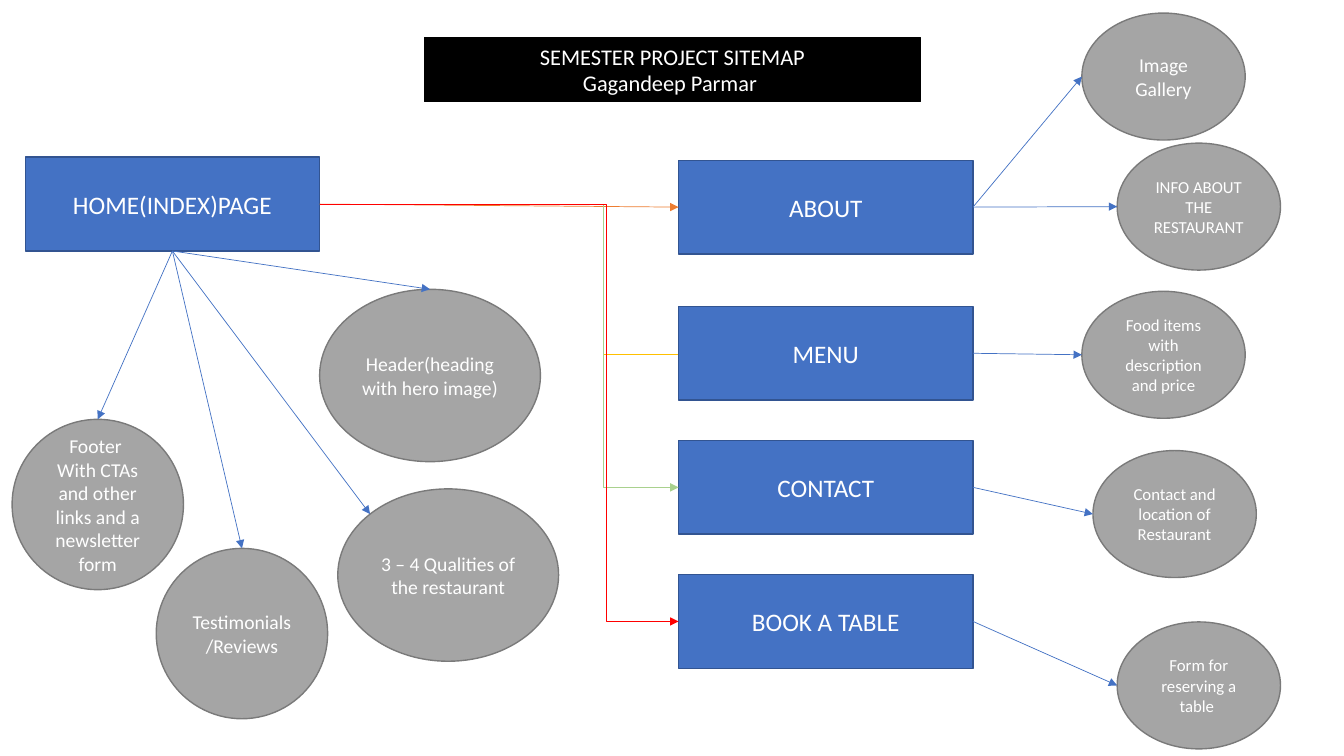
import math

import lxml.etree
import pptx
import pptx.dml.color
import pptx.enum.shapes
import pptx.enum.text
import pptx.oxml.ns
import pptx.util

Inches = pptx.util.Inches
MSO_SHAPE = pptx.enum.shapes.MSO_SHAPE
MSO_CONNECTOR = pptx.enum.shapes.MSO_CONNECTOR
qn = pptx.oxml.ns.qn
TOP, LEFT, BOTTOM, RIGHT = range(4)


def rgb(value):
    return pptx.dml.color.RGBColor.from_string(value)


class Sitemap:
    FONT = "Calibri"
    BLUE, BLUE_EDGE = "4472C4", "325491"
    GREY, GREY_EDGE = "A5A5A5", "7A7A7A"
    PAGE_W, PAGE_H = 2.92, 0.93

    def __init__(self, slide):
        self.s = slide

    def shape(self, kind, box, lines, size, fill, edge):
        sp = self.s.shapes.add_shape(kind, *map(Inches, box))
        sp.shadow.inherit = False
        sp.fill.solid()
        sp.fill.fore_color.rgb = rgb(fill)
        sp.line.color.rgb = rgb(edge)
        sp.line.width = pptx.util.Pt(1)
        tf = sp.text_frame
        tf.word_wrap = True
        tf.vertical_anchor = pptx.enum.text.MSO_ANCHOR.MIDDLE
        for i, line in enumerate(lines):
            p = tf.add_paragraph() if i else tf.paragraphs[0]
            p.alignment = pptx.enum.text.PP_ALIGN.CENTER
            r = p.add_run()
            r.text = line
            r.font.name = self.FONT
            r.font.size = pptx.util.Pt(size)
            r.font.color.rgb = rgb("FFFFFF")
        return sp

    def title(self, box, lines):
        return self.shape(MSO_SHAPE.RECTANGLE, box, lines, 16, "000000", "000000")

    def page(self, left, top, label):
        box = (left, top, self.PAGE_W, self.PAGE_H)
        return self.shape(MSO_SHAPE.RECTANGLE, box, [label], 18, self.BLUE, self.BLUE_EDGE)

    def content(self, box, lines, size):
        return self.shape(MSO_SHAPE.OVAL, box, lines, size, self.GREY, self.GREY_EDGE)

    def arrow(self, begin, side, end, color=BLUE, bend=None):
        """Arrow from a side of a page to a page's left side or to an (x, y) point.

        A bend, as a share of the width, makes it an elbow.
        """
        kind = MSO_CONNECTOR.STRAIGHT if bend is None else MSO_CONNECTOR.ELBOW
        to_point = isinstance(end, tuple)
        x, y = map(Inches, end) if to_point else (end.left, end.top)
        c = self.s.shapes.add_connector(kind, begin.left, begin.top, x, y)
        c.begin_connect(begin, side)
        if not to_point:
            c.end_connect(end, LEFT)
        c.line.color.rgb = rgb(color)
        c.line.width = pptx.util.Pt(0.5)
        sppr = c._element.spPr
        lxml.etree.SubElement(sppr.find(qn("a:ln")), qn("a:tailEnd"), type="triangle")
        lxml.etree.SubElement(sppr, qn("a:effectLst"))
        if bend is not None:
            geom = sppr.find(qn("a:prstGeom"))
            guides = geom.find(qn("a:avLst"))
            if guides is None:
                guides = lxml.etree.SubElement(geom, qn("a:avLst"))
            lxml.etree.SubElement(guides, qn("a:gd"), name="adj1",
                                  fmla=f"val {round(bend * 100000)}")


# left, top, width, height, text, arrow angle on the ellipse in degrees
HOME_CONTENT = [
    (3.17, 2.87, 2.19, 1.71, ["Header(heading with hero image)"], 90),
    (3.35, 4.85, 2.19, 1.71, ["3 – 4 Qualities of the restaurant"], 135),
    (1.55, 5.44, 1.7, 1.69, ["Testimonials/Reviews"], 90),
    (0.12, 4.16, 1.7, 1.69,
     ["Footer ", "With CTAs and other links and a newsletter form"], 90),
]

# label, top, (color, bend) of the arrow from home, content (left, top, text, size)
PAGES = [
    ("ABOUT", 1.59, ("ED7D31", None),
     [(10.73, 0.13, "Image Gallery", 14),
      (11.08, 1.42, "INFO ABOUT THE RESTAURANT", 12)]),
    ("MENU", 3.04, None,
     [(10.73, 2.89, "Food items with description and price", 12)]),
    ("CONTACT", 4.37, ("A9D18E", 0.79),
     [(10.84, 4.47, "Contact and location of Restaurant", 12)]),
    ("BOOK A TABLE", 5.7, ("FF0000", 0.8),
     [(11.08, 6.17, "Form for reserving a table ", 12)]),
]
PAGE_LEFT = 6.73
DETAIL_W, DETAIL_H = 1.62, 1.26


def main():
    prs = pptx.Presentation()
    prs.slide_width, prs.slide_height = Inches(13.33), Inches(7.5)
    sitemap = Sitemap(prs.slides.add_slide(prs.slide_layouts[6]))

    sitemap.title((4.21, 0.37, 4.92, 0.64),
                  ["SEMESTER PROJECT SITEMAP", "Gagandeep Parmar "])
    home = sitemap.page(0.25, 1.56, "HOME(INDEX)PAGE")
    # The menu arrow ends behind the menu page, so it is drawn first
    sitemap.arrow(home, RIGHT, (8.79, 3.52), "FFC000", 0.5)

    for label, top, route, details in PAGES:
        page = sitemap.page(PAGE_LEFT, top, label)
        if route:
            sitemap.arrow(home, RIGHT, page, *route)
        for left, detail_top, text, size in details:
            sitemap.content((left, detail_top, DETAIL_W, DETAIL_H), [text], size)
            sitemap.arrow(page, RIGHT, (left, detail_top + DETAIL_H / 2))

    for left, top, width, height, lines, degrees in HOME_CONTENT:
        sitemap.content((left, top, width, height), lines, 14)
        angle = math.radians(degrees)
        sitemap.arrow(home, BOTTOM, (left + width / 2 * (1 + math.cos(angle)),
                                     top + height / 2 * (1 - math.sin(angle))))

    prs.save("out.pptx")


if __name__ == "__main__":
    main()
